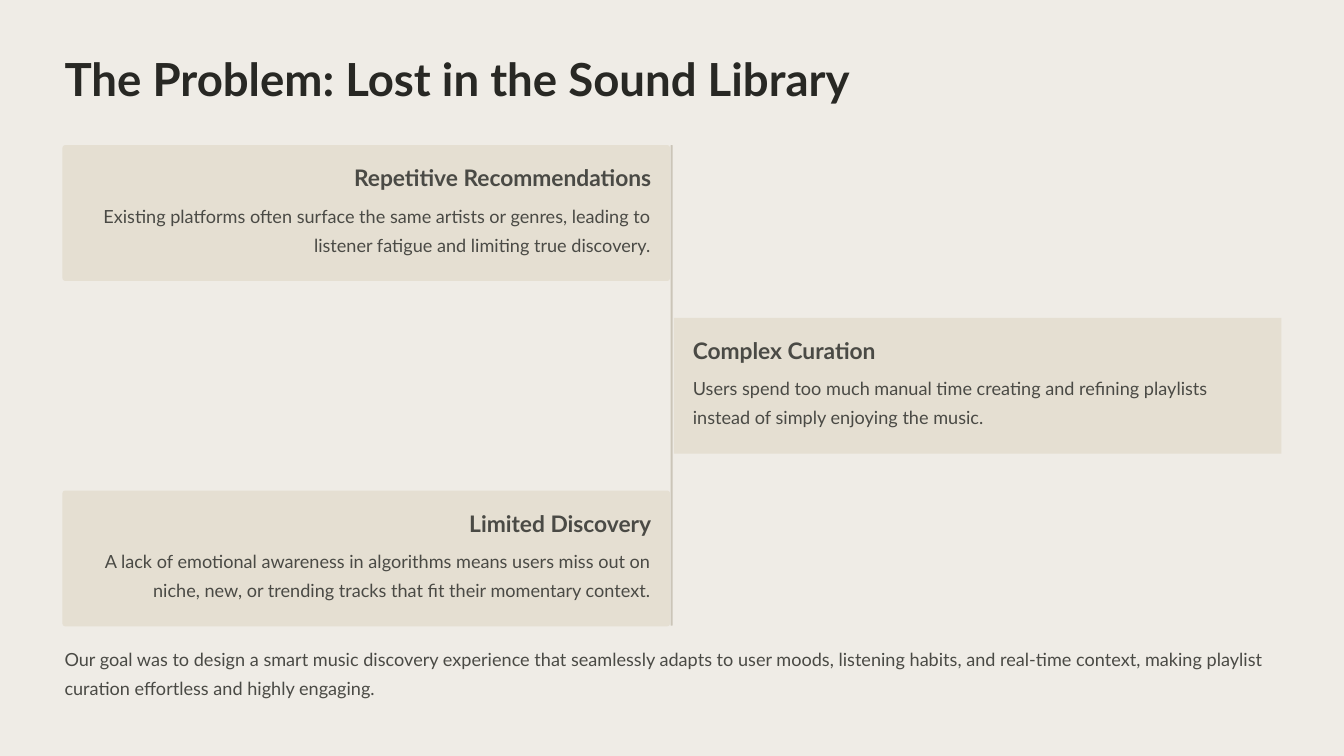
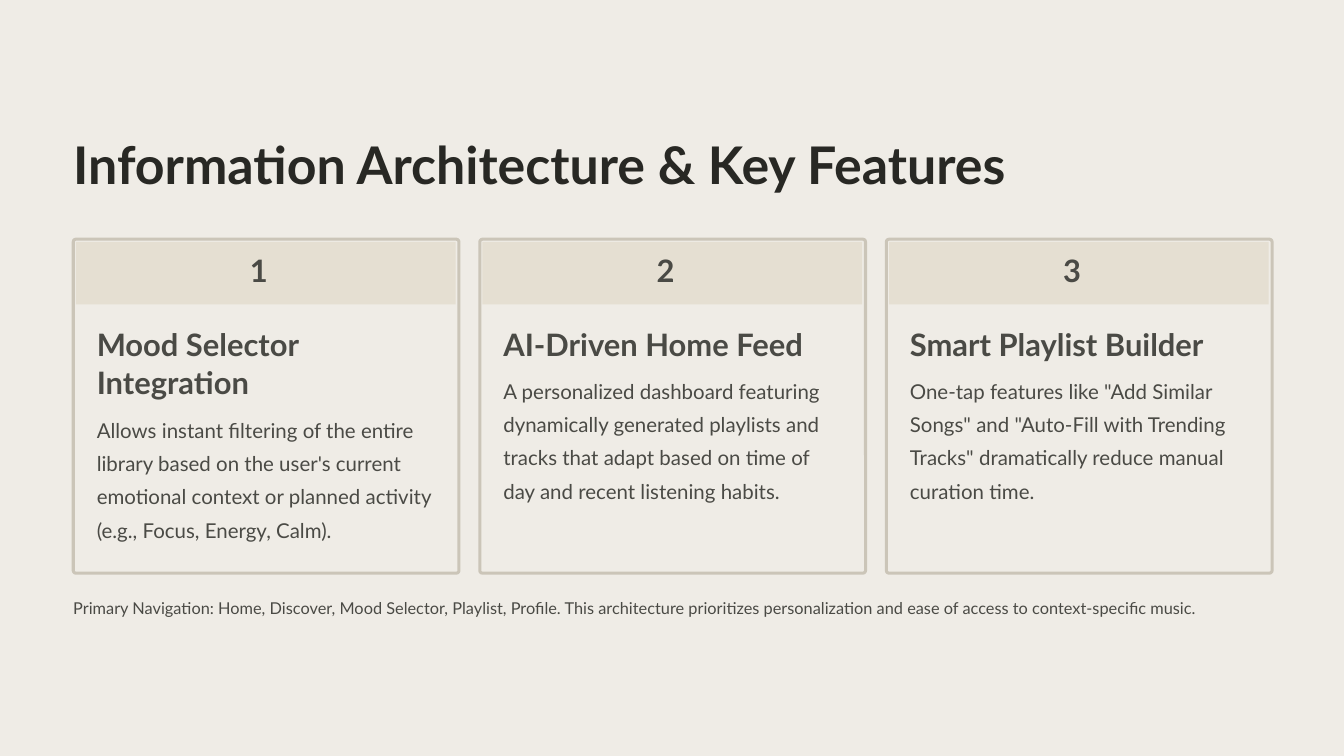
from dataclasses import dataclass

import pptx
import pptx.dml.color
import pptx.enum.shapes
import pptx.enum.text
import pptx.util
from pptx.util import Inches

# Shared look
FONT = "Lato"
PAPER, SAND, RULE = "EFECE6", "E5DFD2", "CBC5B8"
INK, BODY = "282824", "4A4A45"
CORNER = 0.04

SHAPE = pptx.enum.shapes.MSO_SHAPE
ALIGN = pptx.enum.text.PP_ALIGN


@dataclass(frozen=True)
class TextStyle:
    size: float
    spacing: float
    bold: bool = False
    color: str = BODY


@dataclass(frozen=True)
class Problem:
    heading: str
    text: str
    heading_width: float
    on_left: bool


@dataclass(frozen=True)
class Feature:
    heading: str
    text: str
    heading_width: float = 4.65
    heading_height: float = 0.6


PROBLEM_TITLE = TextStyle(48.8, 61.2, True, INK)
PROBLEM_HEADING = TextStyle(24.4, 30.6, True)
PROBLEM_TEXT = TextStyle(19.4, 31.2)
FEATURE_TITLE = TextStyle(55.6, 69.4, True, INK)
FEATURE_NUMBER = TextStyle(33.1, 33.1, True)
FEATURE_HEADING = TextStyle(33.1, 41.2, True)
FEATURE_TEXT = TextStyle(21.9, 35.6)
FEATURE_NOTE = TextStyle(17.5, 28.1)

PROBLEMS = [
    Problem("Repetitive Recommendations",
            "Existing platforms often surface the same artists or genres, leading to "
            "listener fatigue and limiting true discovery.", 4.52, True),
    Problem("Complex Curation",
            "Users spend too much manual time creating and refining playlists "
            "instead of simply enjoying the music.", 3.43, False),
    Problem("Limited Discovery",
            "A lack of emotional awareness in algorithms means users miss out on "
            "niche, new, or trending tracks that fit their momentary context.", 3.43, True),
]
GOAL = ("Our goal was to design a smart music discovery experience that seamlessly adapts "
        "to user moods, listening habits, and real-time context, making playlist curation "
        "effortless and highly engaging.")

FEATURES = [
    Feature("Mood Selector Integration",
            "Allows instant filtering of the entire library based on the user's current "
            "emotional context or planned activity (e.g., Focus, Energy, Calm).", 5.03, 1.18),
    Feature("AI-Driven Home Feed",
            "A personalized dashboard featuring dynamically generated playlists and tracks "
            "that adapt based on time of day and recent listening habits."),
    Feature("Smart Playlist Builder",
            'One-tap features like "Add Similar Songs" and "Auto-Fill with Trending Tracks" '
            "dramatically reduce manual curation time."),
]
NAVIGATION = ("Primary Navigation: Home, Discover, Mood Selector, Playlist, Profile. This "
              "architecture prioritizes personalization and ease of access to "
              "context-specific music.")


def rgb(color: str) -> pptx.dml.color.RGBColor:
    return pptx.dml.color.RGBColor.from_string(color)


def add_slide(prs):
    slide = prs.slides.add_slide(prs.slide_layouts[6])
    slide.background.fill.solid()
    slide.background.fill.fore_color.rgb = rgb(PAPER)
    return slide


def add_box(slide, left: float, top: float, width: float, height: float, fill: str,
            corner: float = 0, line: str = "", line_width: float = 0) -> None:
    kind = SHAPE.ROUNDED_RECTANGLE if corner else SHAPE.RECTANGLE
    sp = slide.shapes.add_shape(kind, Inches(left), Inches(top), Inches(width), Inches(height))
    sp.shadow.inherit = False
    if corner:
        sp.adjustments[0] = corner / min(width, height)
    sp.fill.solid()
    sp.fill.fore_color.rgb = rgb(fill)
    if line:
        sp.line.color.rgb = rgb(line)
        sp.line.width = pptx.util.Pt(line_width)
    else:
        sp.line.fill.background()


def add_text(slide, text: str, left: float, top: float, width: float, height: float,
             style: TextStyle, align=ALIGN.LEFT) -> None:
    sp = slide.shapes.add_textbox(Inches(left), Inches(top), Inches(width), Inches(height))
    tf = sp.text_frame
    tf.word_wrap = True
    tf.margin_left = tf.margin_top = tf.margin_right = tf.margin_bottom = 0
    p = tf.paragraphs[0]
    p.text = text
    p.alignment = align
    p.line_spacing = pptx.util.Pt(style.spacing)
    p.font.name = FONT
    p.font.size = pptx.util.Pt(style.size)
    p.font.bold = style.bold
    p.font.color.rgb = rgb(style.color)


def add_problem(slide, problem: Problem, top: float) -> None:
    """Draw a card on its side of the spine, with the text set towards the spine."""
    width, text_width, pad = 9.04, 8.49, 0.28
    if problem.on_left:
        left, align, corner = 0.93, ALIGN.RIGHT, CORNER
        text_left = left + width - pad - text_width
        heading_left = left + width - pad - problem.heading_width
    else:
        left, align, corner = 10.03, ALIGN.LEFT, 0
        text_left = heading_left = left + pad
    add_box(slide, left, top, width, 2.02, SAND, corner)
    add_text(slide, problem.heading, heading_left, top + 0.26, problem.heading_width, 0.44,
             PROBLEM_HEADING, align)
    add_text(slide, problem.text, text_left, top + 0.78, text_width, 0.96, PROBLEM_TEXT, align)


def add_feature(slide, feature: Feature, number: int, left: float) -> None:
    """Draw a framed card with a numbered band on top."""
    top, text_left, heading_top = 3.56, left + 0.35, 4.82
    add_box(slide, left, top, 5.74, 4.97, PAPER, CORNER, RULE, 3.25)
    add_box(slide, left + 0.04, top + 0.04, 5.65, 0.93, SAND)
    add_text(slide, str(number), left + 2.63, top + 0.28, 0.47, 0.52, FEATURE_NUMBER)
    add_text(slide, feature.heading, text_left, heading_top, feature.heading_width,
             feature.heading_height, FEATURE_HEADING)
    add_text(slide, feature.text, text_left, heading_top + feature.heading_height + 0.09,
             5.03, 2.09, FEATURE_TEXT)


def build_problem_slide(prs) -> None:
    slide = add_slide(prs)
    add_text(slide, "The Problem: Lost in the Sound Library", 0.96, 0.72, 11.78, 0.89,
             PROBLEM_TITLE)
    add_box(slide, 9.98, 2.16, 0.03, 7.15, RULE, 0.01)
    for i, problem in enumerate(PROBLEMS):
        add_problem(slide, problem, 2.16 + i * 2.57)
    add_text(slide, GOAL, 0.96, 9.54, 18.08, 0.96, PROBLEM_TEXT)


def build_feature_slide(prs) -> None:
    slide = add_slide(prs)
    left = 1.09
    add_text(slide, "Information Architecture & Key Features", left, 1.93, 14.14, 1.01,
             FEATURE_TITLE)
    for i, feature in enumerate(FEATURES):
        add_feature(slide, feature, i + 1, left + i * 6.05)
    add_text(slide, NAVIGATION, left, 8.8, 17.83, 0.48, FEATURE_NOTE)


def main() -> None:
    prs = pptx.Presentation()
    prs.slide_width, prs.slide_height = Inches(20), Inches(11.25)
    build_problem_slide(prs)
    build_feature_slide(prs)
    prs.save("out.pptx")


if __name__ == "__main__":
    main()
